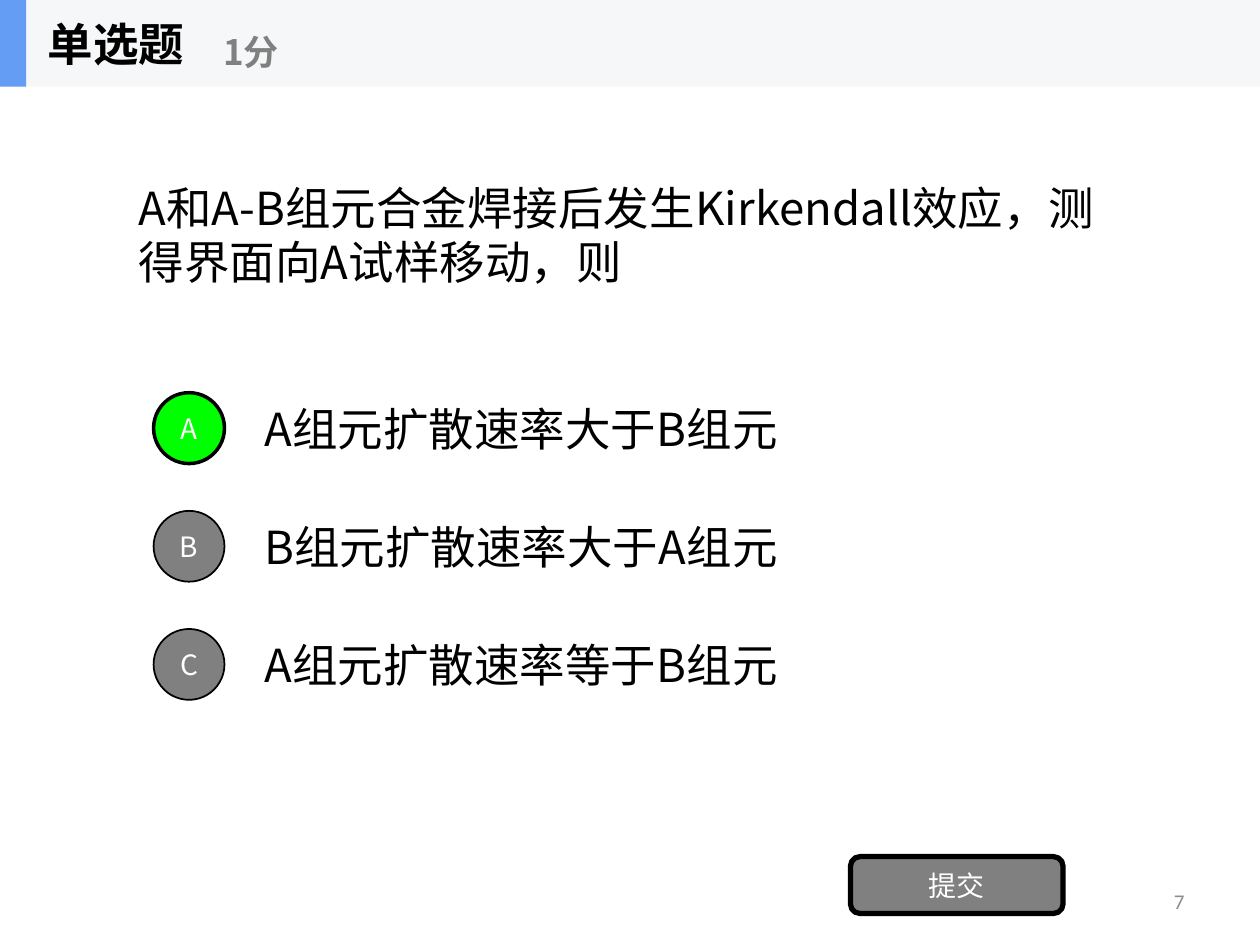
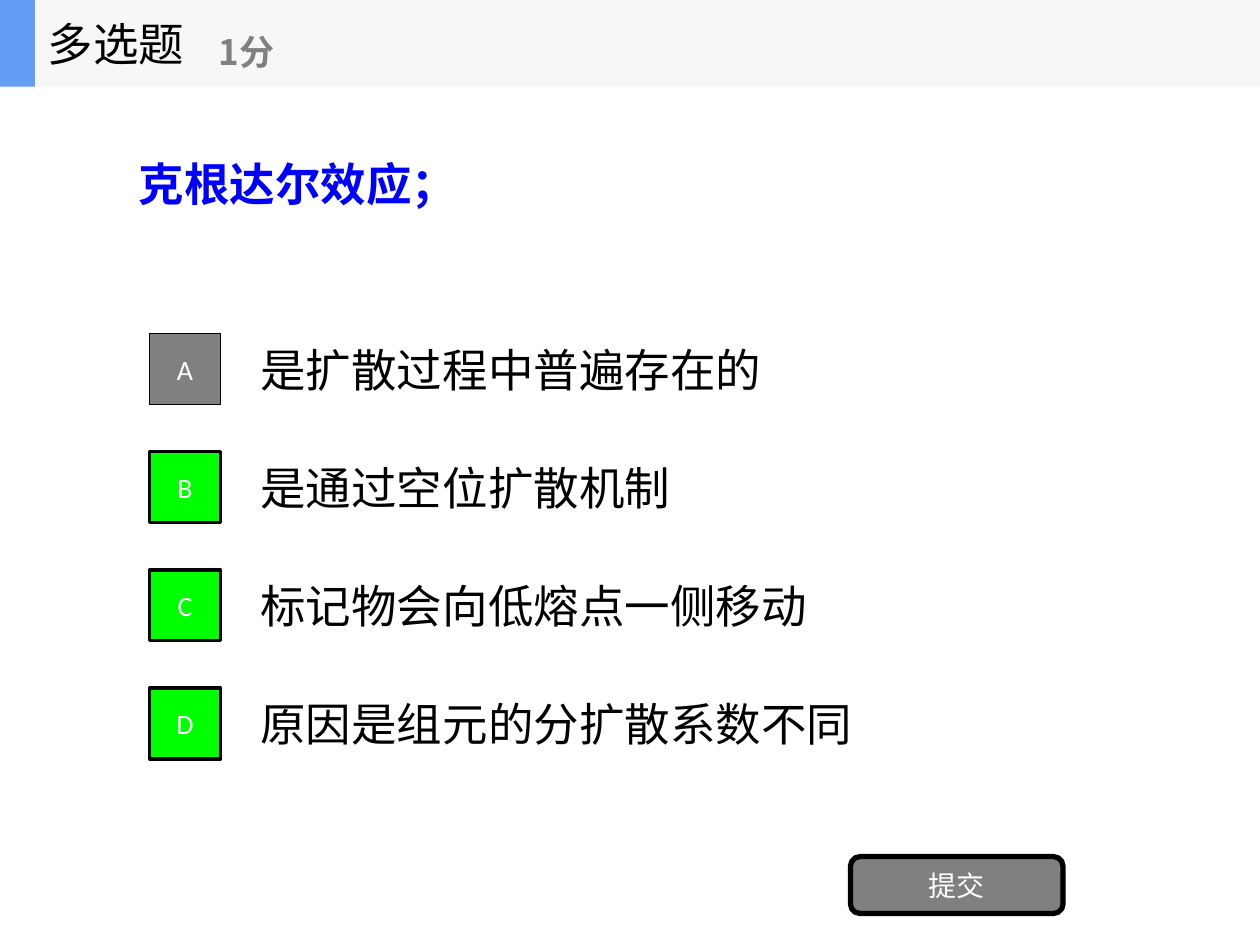
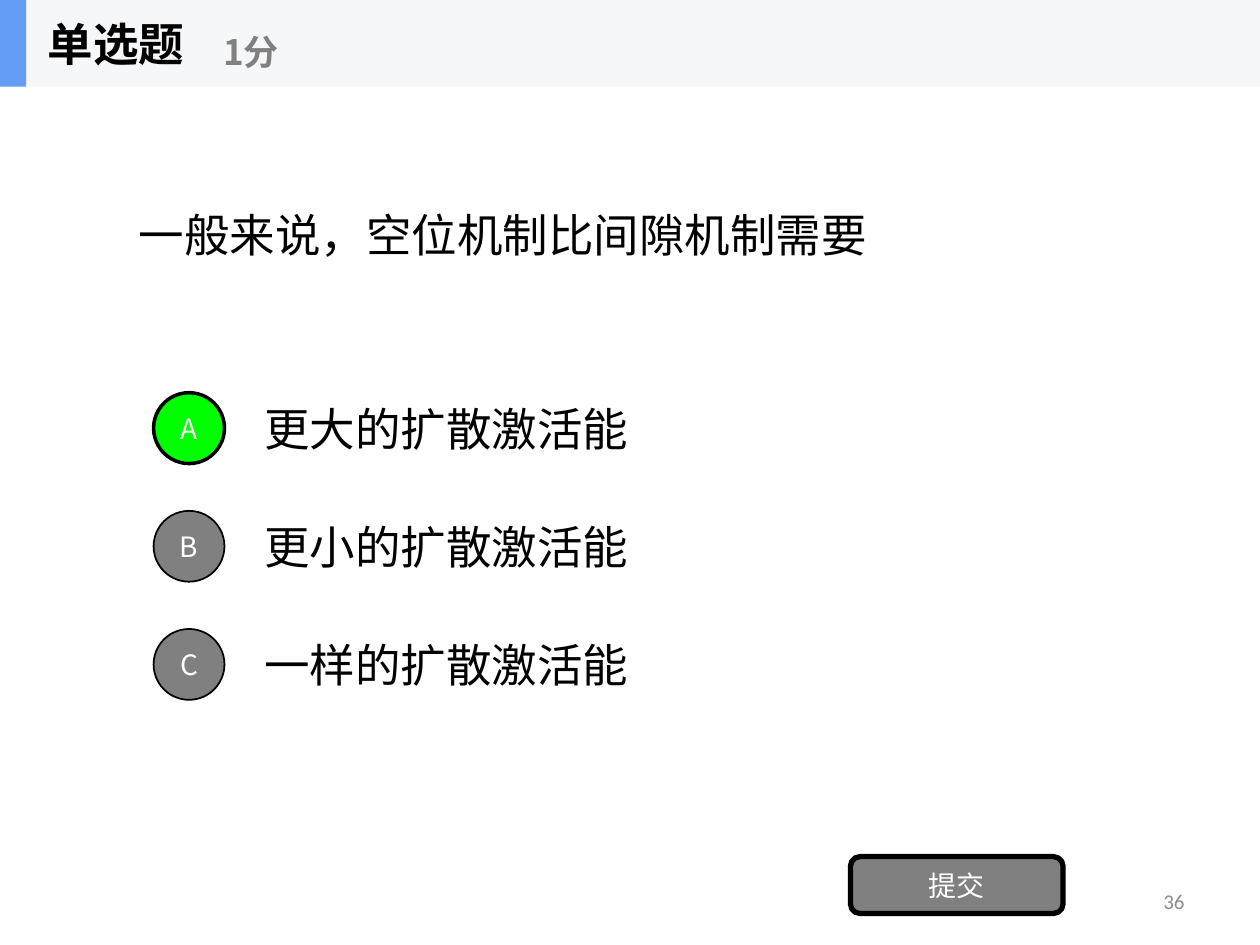
from pptx import Presentation
from pptx.dml.color import RGBColor
from pptx.enum.shapes import MSO_SHAPE
from pptx.enum.text import MSO_ANCHOR, MSO_AUTO_SIZE, PP_ALIGN
from pptx.oxml.ns import qn
from pptx.util import Pt

RECTANGLE = MSO_SHAPE.RECTANGLE
OVAL = MSO_SHAPE.OVAL
ROUNDED = MSO_SHAPE.ROUNDED_RECTANGLE
MIDDLE = MSO_ANCHOR.MIDDLE
NO_AUTOFIT = MSO_AUTO_SIZE.NONE
LEFT, CENTER, RIGHT = PP_ALIGN.LEFT, PP_ALIGN.CENTER, PP_ALIGN.RIGHT

COLORS = {
    "band": "F6F7F8", "accent": "639EF4", "correct": "00FF00", "gray": "808080",
    "number": "8C8C8C", "black": "000000", "white": "FFFFFF", "blue": "0000FF",
}
CJK_FONT = "Noto Sans CJK SC"
LATIN_FONT = "Calibri"

# Shared measures in points
SLIDE_WIDTH, SLIDE_HEIGHT = 720, 540
BAND_HEIGHT = 49.5
OPTION_PITCH, OPTION_HEIGHT = 67.5, 50.6
MARKER_SIZE, MARKER_OFFSET = 40.5, 56.25

# What sets the two kinds of question apart
SINGLE = {
    "title": "单选题", "title_width": 150, "bold_title": True, "accent_width": 15,
    "points_left": 120.5, "font": CJK_FONT, "marker": OVAL,
    "question_top": 49.5, "question_color": "black", "bold_question": False,
    "options_left": 144, "options_top": 219.4,
}
MULTIPLE = {
    "title": "多选题", "title_width": 100, "bold_title": False, "accent_width": 20,
    "points_left": 118, "font": LATIN_FONT, "marker": RECTANGLE,
    "question_top": 20.25, "question_color": "blue", "bold_question": True,
    "options_left": 141.75, "options_top": 185.6,
}

QUESTIONS = [
    {"kind": SINGLE, "correct": "A", "number": "7",
     "text": "A和A-B组元合金焊接后发生Kirkendall效应，测得界面向A试样移动，则",
     "options": ["A组元扩散速率大于B组元", "B组元扩散速率大于A组元", "A组元扩散速率等于B组元"]},
    {"kind": MULTIPLE, "correct": "BCD", "number": None,
     "text": "克根达尔效应；",
     "options": ["是扩散过程中普遍存在的", "是通过空位扩散机制",
                 "标记物会向低熔点一侧移动", "原因是组元的分扩散系数不同"]},
    {"kind": SINGLE, "correct": "A", "number": "36",
     "text": "一般来说，空位机制比间隙机制需要",
     "options": ["更大的扩散激活能", "更小的扩散激活能", "一样的扩散激活能"]},
]


def rgb(name):
    return RGBColor.from_string(COLORS[name])


def write_text(shape, text, size, color="black", font=CJK_FONT, bold=False, align=LEFT):
    frame = shape.text_frame
    frame_format = {"word_wrap": True, "auto_size": NO_AUTOFIT, "vertical_anchor": MIDDLE}
    for name, value in frame_format.items():
        setattr(frame, name, value)
    paragraph = frame.paragraphs[0]
    paragraph.alignment = align
    paragraph.space_before = Pt(0)
    run = paragraph.add_run()
    run.text = text
    for name, value in {"size": Pt(size), "name": font, "bold": bold}.items():
        setattr(run.font, name, value)
    run.font.color.rgb = rgb(color)
    # East Asian glyphs need their own typeface, placed after the Latin one
    east_asian = run.font._element.makeelement(qn("a:ea"), {"typeface": CJK_FONT})
    run.font._element.find(qn("a:latin")).addnext(east_asian)


def place(shape, left, top, width, height):
    bounds = {"left": left, "top": top, "width": width, "height": height}
    for name, value in bounds.items():
        setattr(shape, name, Pt(value))


def add_text(slide, bounds, text, size, **text_format):
    box = slide.shapes.add_textbox(*map(Pt, bounds))
    write_text(box, text, size, **text_format)


def add_box(slide, preset, bounds, fill, line_width=0):
    shape = slide.shapes.add_shape(preset, *map(Pt, bounds))
    shape.shadow.inherit = False
    shape.fill.solid()
    shape.fill.fore_color.rgb = rgb(fill)
    if line_width:
        shape.line.color.rgb = rgb("black")
        shape.line.width = Pt(line_width)
    else:
        shape.line.fill.background()
    return shape


def add_header(slide, kind):
    add_box(slide, RECTANGLE, (0, 0, SLIDE_WIDTH, BAND_HEIGHT), "band")
    add_box(slide, RECTANGLE, (0, 0, kind["accent_width"], BAND_HEIGHT), "accent")
    title = slide.shapes.title
    place(title, 20, 0, kind["title_width"], BAND_HEIGHT)
    write_text(title, kind["title"], 26, font=kind["font"], bold=kind["bold_title"])
    # Bring the title in front of the band
    title.element.getparent().append(title.element)
    add_text(slide, (kind["points_left"], 9, 180, 40.5), "1分", 20, color="gray", bold=True)


def add_question(slide, kind, text):
    body = slide.placeholders[1]
    place(body, 72, kind["question_top"], 576, 168.75)
    properties = body.text_frame.paragraphs[0]._p.get_or_add_pPr()
    properties.set("marL", "0")
    properties.set("indent", "0")
    properties.append(properties.makeelement(qn("a:buNone"), {}))
    write_text(body, text, 26, color=kind["question_color"], font=kind["font"],
               bold=kind["bold_question"])


def add_options(slide, kind, options, correct):
    left = kind["options_left"]
    for index, (letter, text) in enumerate(zip("ABCD", options)):
        top = kind["options_top"] + index * OPTION_PITCH
        add_text(slide, (left, top, 504, OPTION_HEIGHT), text, 26, font=kind["font"])
        fill, line_width = ("correct", 2) if letter in correct else ("gray", 1)
        bounds = (left - MARKER_OFFSET, top + 5, MARKER_SIZE, MARKER_SIZE)
        marker = add_box(slide, kind["marker"], bounds, fill, line_width)
        write_text(marker, letter, 16, color="white", font=kind["font"], align=CENTER)


def add_footer(slide, number):
    button = add_box(slide, ROUNDED, (486, 489.5, 121.5, 32.5), "gray", 3)
    write_text(button, "提交", 16, color="white", align=CENTER)
    if number:
        add_text(slide, (516, 500.5, 168, 28.75), number, 12,
                 color="number", font=LATIN_FONT, align=RIGHT)


def main():
    presentation = Presentation()
    presentation.slide_width = Pt(SLIDE_WIDTH)
    presentation.slide_height = Pt(SLIDE_HEIGHT)
    for question in QUESTIONS:
        slide = presentation.slides.add_slide(presentation.slide_layouts[1])
        kind = question["kind"]
        add_header(slide, kind)
        add_question(slide, kind, question["text"])
        add_options(slide, kind, question["options"], question["correct"])
        add_footer(slide, question["number"])
    presentation.save("out.pptx")


if __name__ == "__main__":
    main()
